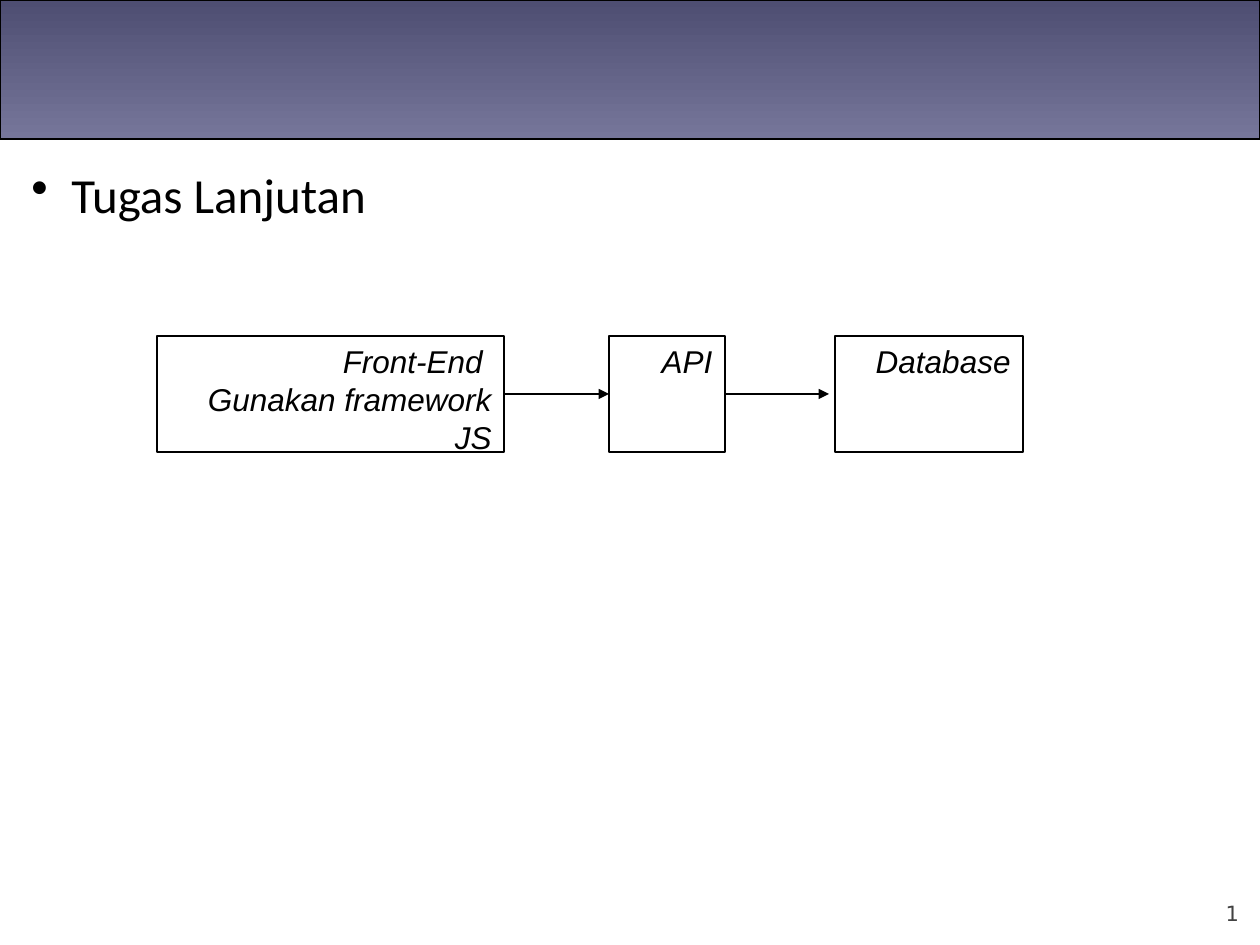
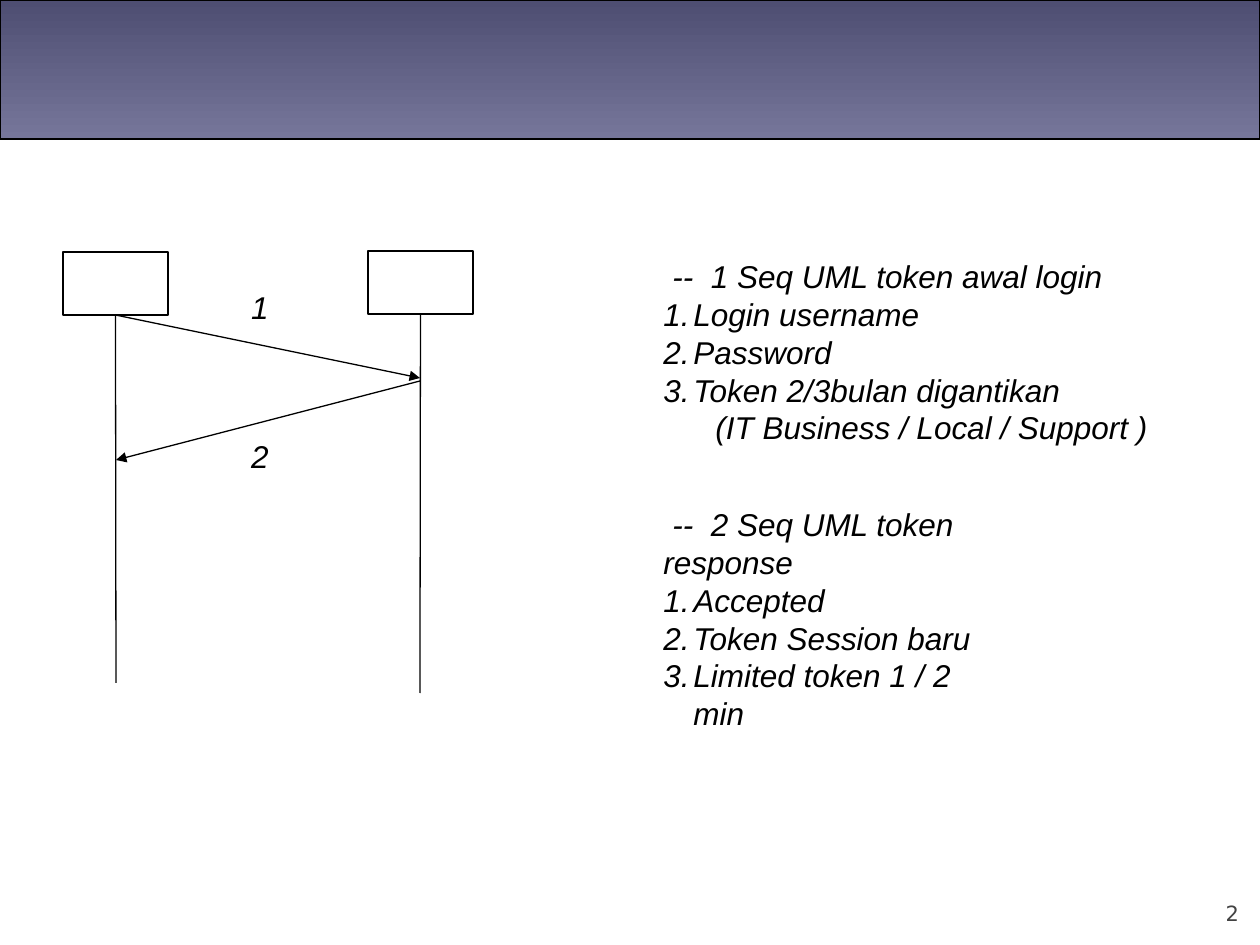
from pptx import Presentation
from pptx.dml.color import RGBColor
from pptx.enum.shapes import MSO_CONNECTOR as Link, MSO_SHAPE as Kind
from pptx.enum.text import MSO_ANCHOR as Anchor, PP_ALIGN as Align
from pptx.oxml.ns import qn
from pptx.util import Pt
from lxml.etree import SubElement

SCALE = 914400 / 126
WIDE, HIGH = 1260, 945
INK, GREY = "000000", "424242"
BAND = ("4E4E72", "76769A")
TOP, LEFT, BOTTOM = 0, 1, 2
RIGHT = 3


def px(*sizes):
    return [round(size * SCALE) for size in sizes]


def tint(code):
    return RGBColor.from_string(code)


def edge(line):
    line.color.rgb = tint(INK)
    line.width = Pt(0.75)


def style(para, size=18, face="Arial", color=INK, italic=True, align=Align.LEFT):
    para.alignment = align
    font = para.font
    font.size, font.name, font.italic = Pt(size), face, italic
    font.color.rgb = tint(color)


def indent(para, left, first):
    """Set the left margin and the first-line offset, in px."""
    props = para._p.get_or_add_pPr()
    left, first = px(left, first)
    props.set("marL", str(left))
    props.set("indent", str(first))
    return props


def bullet(para, width, tag, **marks):
    props = indent(para, width, -width)
    SubElement(props, qn(tag), **marks)


def label(slide, at, text, wrap=True, **look):
    box = slide.shapes.add_textbox(*px(*at))
    box.text_frame.word_wrap = wrap
    para = box.text_frame.paragraphs[0]
    para.text = text
    style(para, **look)
    return box.text_frame


def node(slide, at, text=""):
    box = slide.shapes.add_shape(Kind.RECTANGLE, *px(*at))
    box.shadow.inherit = False
    box.fill.background()
    edge(box.line)
    if text:
        frame = box.text_frame
        frame.vertical_anchor = Anchor.TOP
        frame.text = text
        for para in frame.paragraphs:
            style(para, align=Align.RIGHT)
    return box


def link(slide, start, end, arrow=True):
    """Draw a line; each end is an (x, y) point or a (box, side) pair."""
    line = slide.shapes.add_connector(Link.STRAIGHT, 0, 0, 0, 0)
    if isinstance(start[0], int):
        line.begin_x, line.begin_y = px(*start)
    else:
        line.begin_connect(*start)
    if isinstance(end[0], int):
        line.end_x, line.end_y = px(*end)
    else:
        line.end_connect(*end)
    edge(line.line)
    if arrow:
        SubElement(line.line._get_or_add_ln(), qn("a:tailEnd"), type="triangle")
    SubElement(line._element.spPr, qn("a:effectLst"))


def steps(slide, at, head, items, note=None):
    """Write a heading, a numbered list and an optional indented note."""
    frame = label(slide, at, head)
    indent(frame.paragraphs[0], 0, 9)
    for item in items:
        para = frame.add_paragraph()
        para.text = item
        bullet(para, 30, "a:buAutoNum", type="arabicPeriod")
        style(para)
    if note:
        para = frame.add_paragraph()
        para.text = note
        indent(para, 52, 0)
        style(para)


def page(deck, number):
    """Add a slide with the top band and the slide number."""
    slide = deck.slides.add_slide(deck.slide_layouts[6])
    band = slide.shapes.add_shape(Kind.ROUNDED_RECTANGLE, *px(0, 0, WIDE, 139))
    band.adjustments[0] = 0
    band.shadow.inherit = False
    band.fill.gradient()
    band.fill.gradient_angle = 270
    for stop, code in zip(band.fill.gradient_stops, BAND):
        stop.color.rgb = tint(code)
    edge(band.line)
    frame = label(slide, (1134, 876, 105, 50), str(number), size=12,
                  face="DejaVu Sans", color=GREY, italic=False, align=Align.RIGHT)
    frame.vertical_anchor = Anchor.BOTTOM
    frame.margin_left = frame.margin_right = 0
    frame.margin_top = frame.margin_bottom = 0
    return slide


def flow(slide):
    frame = label(slide, (19, 158, 1218, 714), "Tugas Lanjutan",
                  size=28, face="Calibri", italic=False)
    para = frame.paragraphs[0]
    bullet(para, 40, "a:buChar", char="•")
    para.space_before = Pt(7)

    front = node(slide, (157, 336, 347, 116), "Front-End \nGunakan framework JS")
    api = node(slide, (609, 336, 116, 116), "API")
    node(slide, (835, 336, 188, 116), "Database")
    link(slide, (front, RIGHT), (api, LEFT))
    link(slide, (api, RIGHT), (829, 394))


def sequence(slide):
    client = node(slide, (63, 252, 105, 63))
    server = node(slide, (368, 251, 105, 63))
    link(slide, (client, BOTTOM), (116, 683), arrow=False)
    link(slide, (server, BOTTOM), (420, 693), arrow=False)
    link(slide, (client, BOTTOM), (420, 378))
    link(slide, (420, 381), (116, 460))
    for text, top in (("1", 282), ("2", 431)):
        label(slide, (238, top, 43, 50), text, wrap=False, align=Align.RIGHT)

    steps(slide, (651, 251, 662, 277), "--  1 Seq UML token awal login",
          ("Login username", "Password", "Token 2/3bulan digantikan"),
          "(IT Business / Local / Support )")
    steps(slide, (651, 499, 347, 315), "--  2 Seq UML token response",
          ("Accepted", "Token Session baru", "Limited token 1 / 2 min"))


def main():
    deck = Presentation()
    deck.slide_width, deck.slide_height = px(WIDE, HIGH)
    for number, draw in enumerate((flow, sequence), 1):
        draw(page(deck, number))
    deck.save("out.pptx")


if __name__ == "__main__":
    main()
